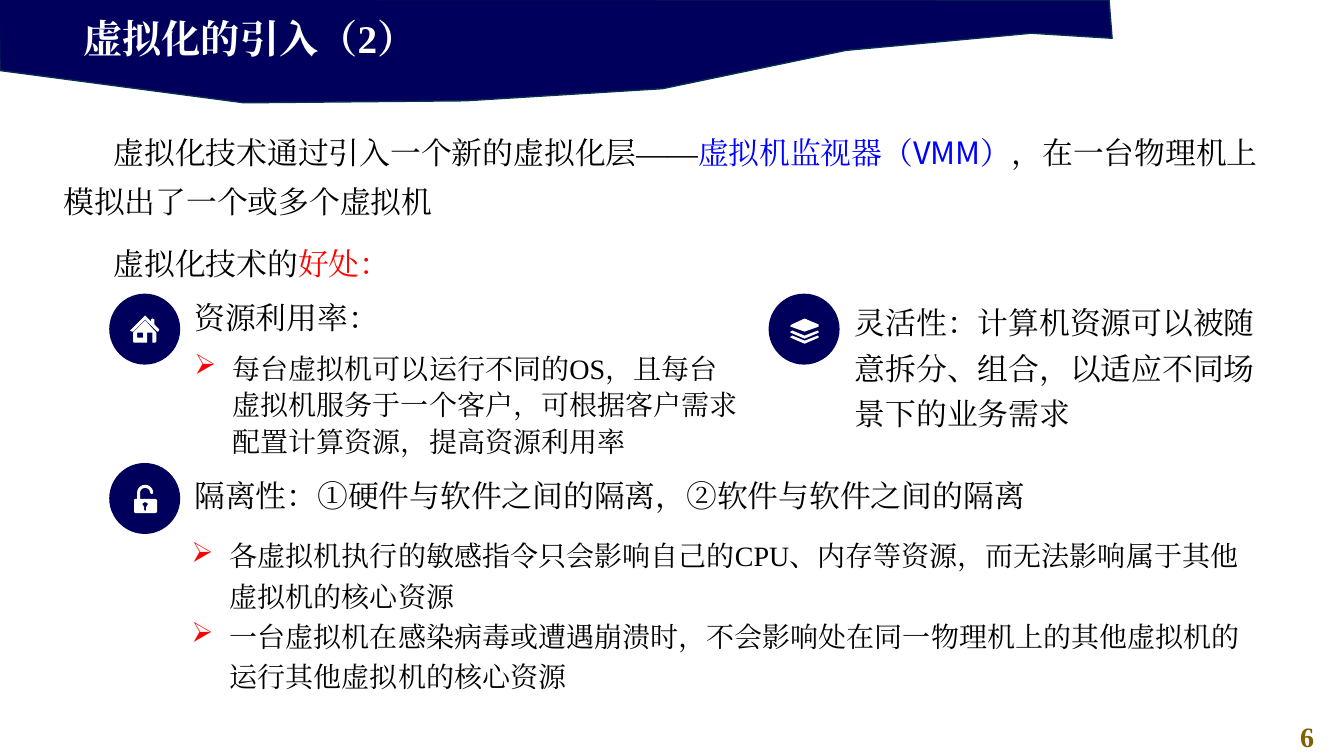
from math import cos, pi, sin

from lxml.etree import SubElement
from pptx import Presentation
from pptx.dml.color import RGBColor
from pptx.enum.shapes import MSO_SHAPE
from pptx.enum.text import MSO_ANCHOR, PP_ALIGN
from pptx.oxml.ns import qn
from pptx.util import Inches, Pt

COLORS = {
    "navy": "00005C", "edge": "05304F", "white": "FFFFFF", "black": "000000",
    "blue": "0000FF", "red": "FF0000", "gold": "806000",
}
SERIF = "Times New Roman"
SANS = "Noto Sans CJK SC"

presentation = Presentation()
presentation.slide_width = Inches(13.33)
presentation.slide_height = Inches(7.5)
slide = presentation.slides.add_slide(presentation.slide_layouts[6])


def add_outline(contours, fill, line=None):
    builder = None
    for contour in contours:
        points = [(Inches(x), Inches(y)) for x, y in contour]
        if builder is None:
            builder = slide.shapes.build_freeform(*points[0])
        else:
            builder.move_to(*points[0])
        builder.add_line_segments(points[1:], close=True)
    shape = builder.convert_to_shape()
    shape.shadow.inherit = False
    shape.fill.solid()
    shape.fill.fore_color.rgb = RGBColor.from_string(COLORS[fill])
    if line:
        shape.line.color.rgb = RGBColor.from_string(COLORS[line])
        shape.line.width = Pt(1)
    else:
        shape.line.fill.background()


def add_text(box, paragraphs, size, font=SERIF, bold=False, anchor=MSO_ANCHOR.TOP,
             align=PP_ALIGN.LEFT, spacing=1.0, before=0, indent=0, bullet=False):
    text_frame = slide.shapes.add_textbox(*map(Inches, box)).text_frame
    text_frame.word_wrap = True
    text_frame.vertical_anchor = anchor
    for index, runs in enumerate(paragraphs):
        paragraph = text_frame.paragraphs[0] if index == 0 else text_frame.add_paragraph()
        paragraph.alignment = align
        paragraph.line_spacing = spacing
        if index:
            paragraph.space_before = Pt(before)
        properties = paragraph._p.get_or_add_pPr()
        properties.set("marL", str(Inches(max(-indent, 0))))
        properties.set("indent", str(Inches(indent)))
        if bullet:
            SubElement(SubElement(properties, qn("a:buClr")), qn("a:srgbClr"), val=COLORS["red"])
            SubElement(properties, qn("a:buChar"), char="➢")
        for text, color in runs:
            run = paragraph.add_run()
            run.text = text
            run.font.size = Pt(size)
            run.font.bold = bold
            run.font.name = font
            run.font.color.rgb = RGBColor.from_string(COLORS[color])
            SubElement(run.font._element, qn("a:ea"), typeface=SERIF)


banner = [(-0.01, -0.01), (0, 0.7), (2.42, 1.02), (4.62, 1), (6.57, 0.88),
          (8.39, 0.5), (10.23, 0.33), (11.03, 0.38), (11, 0)]
add_outline([banner], "navy", "edge")

add_text((12.6, 7.09, 0.73, 0.44), [[("6", "gold")]], 20, bold=True, align=PP_ALIGN.CENTER)
add_text((0.73, 0.09, 7.68, 0.57), [[("虚拟化的引入（2）", "white")]], 28, bold=True)
add_text((0.53, 1.16, 12.26, 1.57), [
    [("虚拟化技术通过引入一个新的虚拟化层——", "black"),
     ("虚拟机监视器（VMM）", "blue"),
     ("，在一台物理机上模拟出了一个或多个虚拟机", "black")],
    [("虚拟化技术的", "black"), ("好处：", "red")],
], 22, font=SANS, spacing=1.32, before=10, indent=0.5)

headings = [
    ((8.38, 2.93, 4.31, 1.36), "灵活性：计算机资源可以被随意拆分、组合，以适应不同场景下的业务需求", 1.23),
    ((1.83, 4.69, 10.68, 0.45), "隔离性：①硬件与软件之间的隔离，②软件与软件之间的隔离", 1.0),
    ((1.83, 2.93, 7.94, 0.44), "资源利用率：", 1.0),
]
for box, text, spacing in headings:
    add_text(box, [[(text, "black")]], 22, anchor=MSO_ANCHOR.MIDDLE, spacing=spacing)

details = [
    ((1.8, 5.23, 10.75, 1.65), 1.2, [
        "各虚拟机执行的敏感指令只会影响自己的CPU、内存等资源，而无法影响属于其他虚拟机的核心资源",
        "一台虚拟机在感染病毒或遭遇崩溃时，不会影响处在同一物理机上的其他虚拟机的运行其他虚拟机的核心资源"]),
    ((1.83, 3.4, 5.6, 1.28), 1.1, [
        "每台虚拟机可以运行不同的OS，且每台虚拟机服务于一个客户，可根据客户需求配置计算资源，提高资源利用率"]),
]
for box, spacing, texts in details:
    add_text(box, [[(text, "black")] for text in texts], 20,
             spacing=spacing, indent=-0.38, bullet=True)

for left, top in [(1.09, 2.92), (1.09, 4.6), (7.63, 2.92)]:
    circle = slide.shapes.add_shape(
        MSO_SHAPE.OVAL, Inches(left), Inches(top), Inches(0.69), Inches(0.69))
    circle.shadow.inherit = False
    circle.fill.solid()
    circle.fill.fore_color.rgb = RGBColor.from_string(COLORS["navy"])
    circle.line.color.rgb = RGBColor.from_string(COLORS["navy"])
    circle.line.width = Pt(1)

roof = [(1.29, 3.28), (1.44, 3.13), (1.5, 3.19), (1.5, 3.17), (1.51, 3.16), (1.53, 3.17),
        (1.53, 3.22), (1.58, 3.27), (1.57, 3.29), (1.56, 3.29), (1.44, 3.17),
        (1.32, 3.29), (1.31, 3.29)]
walls = [(1.55, 3.3), (1.55, 3.39), (1.54, 3.4), (1.51, 3.4), (1.51, 3.3), (1.46, 3.3),
         (1.46, 3.4), (1.33, 3.4), (1.32, 3.39), (1.32, 3.3), (1.44, 3.18)]
window = [(1.42, 3.3), (1.36, 3.3), (1.36, 3.35), (1.42, 3.35)]
add_outline([roof, walls, window], "white")

top_sheet = [(7.84, 3.23), (7.85, 3.22), (7.98, 3.16), (8.12, 3.22),
             (8.12, 3.24), (7.98, 3.29), (7.84, 3.24)]
lower_sheet = [(7.84, 3.29), (7.86, 3.28), (7.98, 3.33), (8.11, 3.28),
               (8.12, 3.29), (8.12, 3.3), (7.98, 3.36), (7.84, 3.3)]
bottom_sheet = [(x, y + 0.05) for x, y in lower_sheet]
add_outline([top_sheet, lower_sheet, bottom_sheet], "white")

angles = [pi * step / 12 for step in range(13)]
outer_arc = [(1.44 - 0.08 * cos(angle), 4.89 - 0.08 * sin(angle)) for angle in angles]
inner_arc = [(1.44 + 0.05 * cos(angle), 4.89 - 0.05 * sin(angle)) for angle in angles]
lock = [(1.34, 5.09), (1.33, 5.08), (1.33, 4.96), (1.34, 4.95), (1.36, 4.95),
        *outer_arc, (1.51, 4.9), (1.5, 4.9), *inner_arc, (1.39, 4.95),
        (1.54, 4.95), (1.56, 4.96), (1.56, 5.08), (1.54, 5.09)]
keyhole = [(1.44, 4.98), (1.42, 4.99), (1.41, 5), (1.43, 5.03), (1.43, 5.06), (1.44, 5.07),
           (1.45, 5.06), (1.45, 5.03), (1.47, 5), (1.46, 4.99)]
add_outline([lock, keyhole], "white")

presentation.save("out.pptx")
